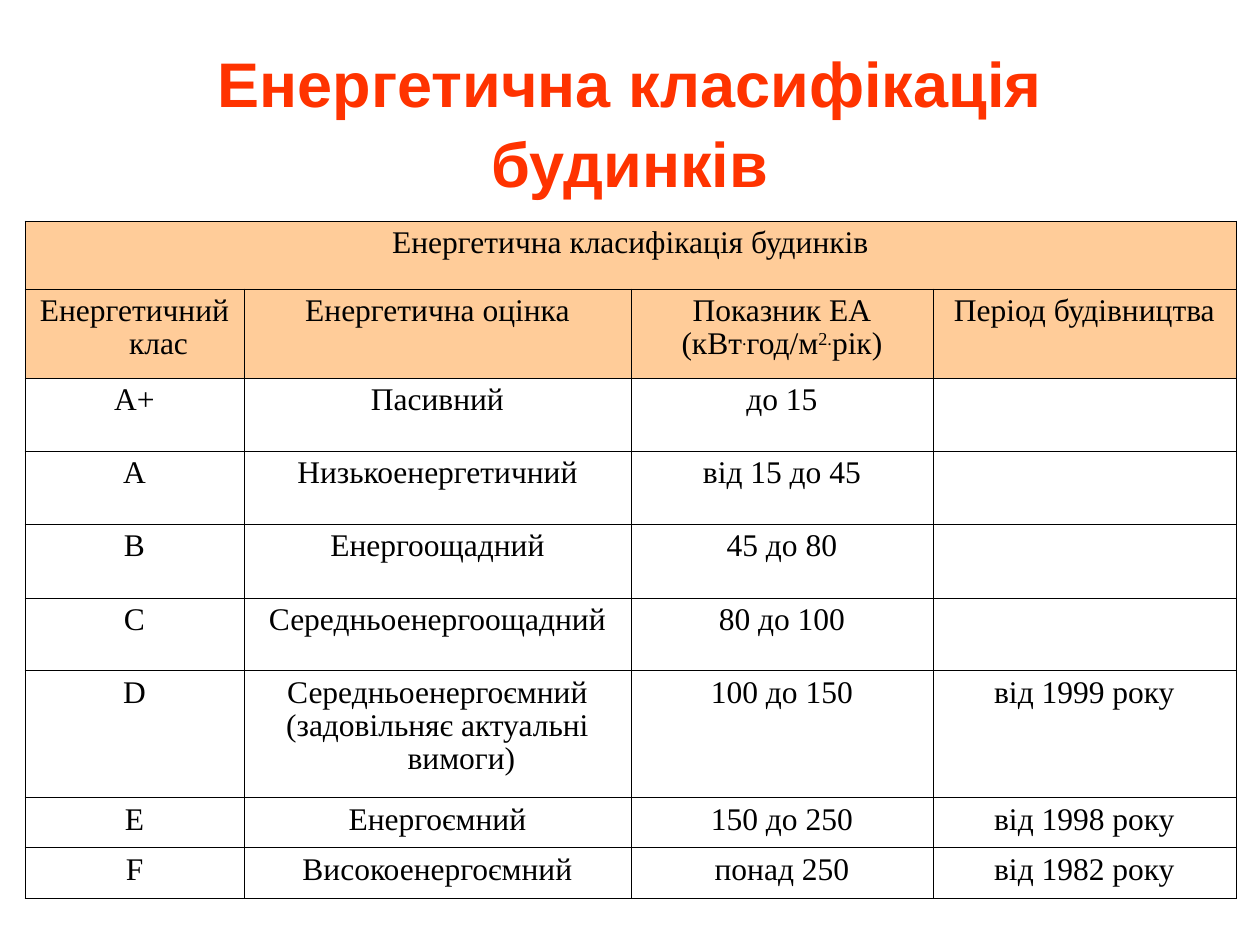
import pptx
import pptx.util
import pptx.dml.color
import pptx.enum.text
import pptx.oxml
import pptx.oxml.ns

PX = 914400 / 126
COLORS = {"title": "FF3300", "text": "000000", "header": "FFCC99", "border": "000000"}
TITLE = {"name": "Arial", "size": pptx.util.Pt(36), "bold": True}
BODY = {"name": "Times New Roman", "size": pptx.util.Pt(18), "bold": False}
COLUMNS = [219, 387, 302, 303]
HEIGHTS = [68, 89, 73, 73, 74, 73, 127, 50, 51]
HEADER_ROWS = 2
HEADING = "Енергетична класифікація будинків"
CLASSES = [
    [HEADING, "", "", ""],
    ["Енергетичний клас", "Енергетична оцінка",
     "Показник ЕА\n(кВт^.^год/м^2.^рік)", "Період будівництва"],
    ["А+", "Пасивний", "до 15", ""],
    ["А", "Низькоенергетичний", "від 15 до 45", ""],
    ["В", "Енергоощадний", "45 до 80", ""],
    ["C", "Середньоенергоощадний", "80 до 100", ""],
    ["D", "Середньоенергоємний\n(задовільняє актуальні вимоги)", "100 до 150", "від 1999 року"],
    ["E", "Енергоємний", "150 до 250", "від 1998 року"],
    ["F", "Високоенергоємний", "понад 250", "від 1982 року"],
]


def px(length):
    return pptx.util.Emu(round(length * PX))


def assign(target, values):
    for name, value in values.items():
        setattr(target, name, value)


class ClassificationSlide:
    """Hold the style and the current page, and draw each kind of element."""

    def __init__(self, deck):
        self.page = deck.slides.add_slide(deck.slide_layouts[6])

    def text(self, frame, words, style, color, spacing, hanging=0):
        for number, line in enumerate(words.split("\n")):
            para = frame.add_paragraph() if number else frame.paragraphs[0]
            assign(para, {"alignment": pptx.enum.text.PP_ALIGN.CENTER, "line_spacing": spacing})
            assign(para.font, style)
            if hanging:
                properties = para._p.get_or_add_pPr()
                properties.set("marL", str(px(hanging)))
                properties.set("indent", str(-px(hanging)))
            for number_in_line, part in enumerate(line.split("^")):
                if not part:
                    continue
                span = para.add_run()
                span.text = part
                assign(span.font, style)
                span.font.color.rgb = pptx.dml.color.RGBColor.from_string(COLORS[color])
                if number_in_line % 2:
                    span._r.get_or_add_rPr().set("baseline", "30000")

    def title(self, words, left, top, width, height):
        box = self.page.shapes.add_textbox(px(left), px(top), px(width), px(height))
        assign(box.text_frame, {
            "word_wrap": True,
            "vertical_anchor": pptx.enum.text.MSO_ANCHOR.MIDDLE,
            "margin_top": px(10),
            "margin_bottom": px(2),
        })
        self.text(box.text_frame, words, TITLE, "title", 1.05)

    def border(self, cell):
        properties = cell._tc.get_or_add_tcPr()
        for side in ("lnL", "lnR", "lnT", "lnB"):
            properties.append(pptx.oxml.parse_xml(
                f'<a:{side} {pptx.oxml.ns.nsdecls("a")} w="{pptx.util.Pt(0.45)}"><a:solidFill>'
                f'<a:srgbClr val="{COLORS["border"]}"/></a:solidFill></a:{side}>'))

    def table(self, rows, left, top):
        frame = self.page.shapes.add_table(
            len(rows), len(COLUMNS), px(left), px(top), px(sum(COLUMNS)), px(sum(HEIGHTS)))
        table = frame.table
        assign(table, {"first_row": False, "horz_banding": False})
        for column, width in zip(table.columns, COLUMNS):
            column.width = px(width)
        for row, height in zip(table.rows, HEIGHTS):
            row.height = px(height)
        table.cell(0, 0).merge(table.cell(0, len(COLUMNS) - 1))
        for row, texts in enumerate(rows):
            for column, words in enumerate(texts):
                cell = table.cell(row, column)
                self.border(cell)
                if row < HEADER_ROWS:
                    cell.fill.solid()
                    cell.fill.fore_color.rgb = pptx.dml.color.RGBColor.from_string(COLORS["header"])
                else:
                    cell.fill.background()
                self.text(cell.text_frame, words, BODY, "text", 0.95, hanging=48)


def main():
    deck = pptx.Presentation()
    assign(deck, {"slide_width": px(1260), "slide_height": px(945)})
    slide = ClassificationSlide(deck)
    slide.title(HEADING, 63, 38, 1134, 157)
    slide.table(CLASSES, 25, 221)
    deck.save("out.pptx")


if __name__ == "__main__":
    main()
